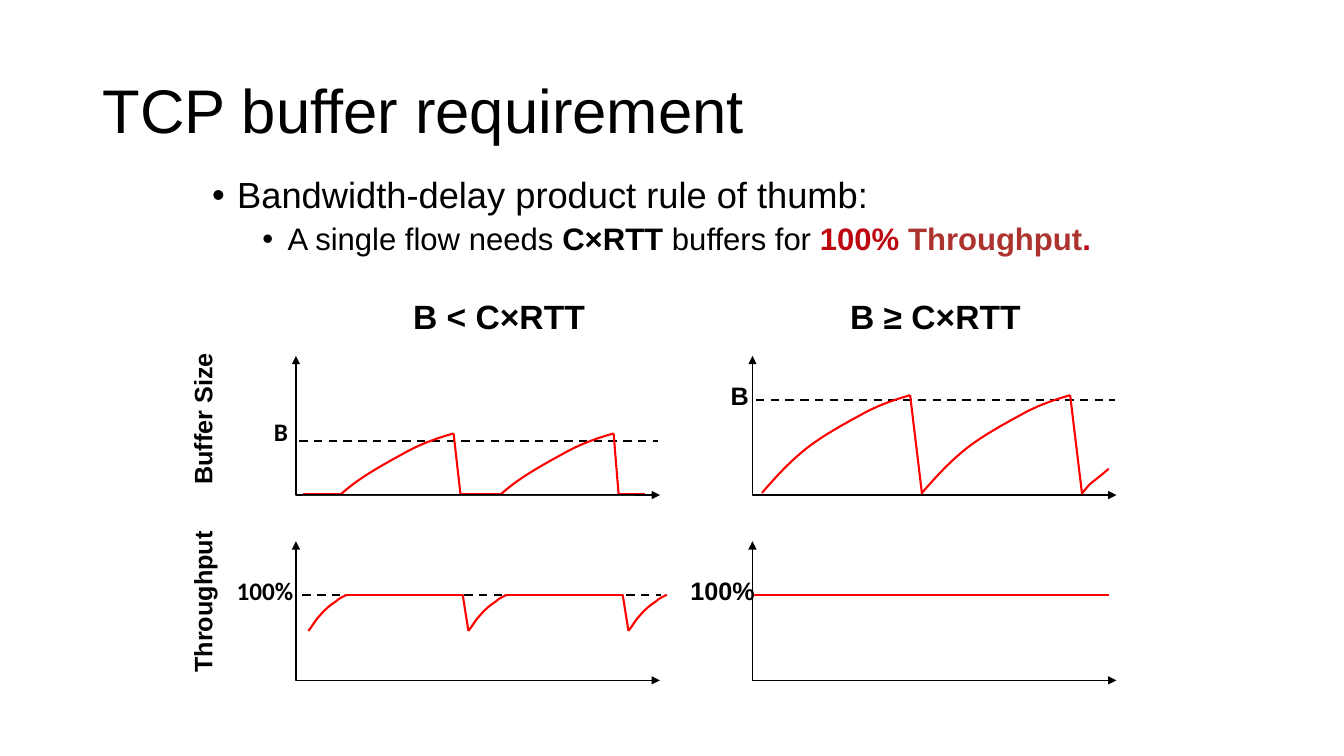
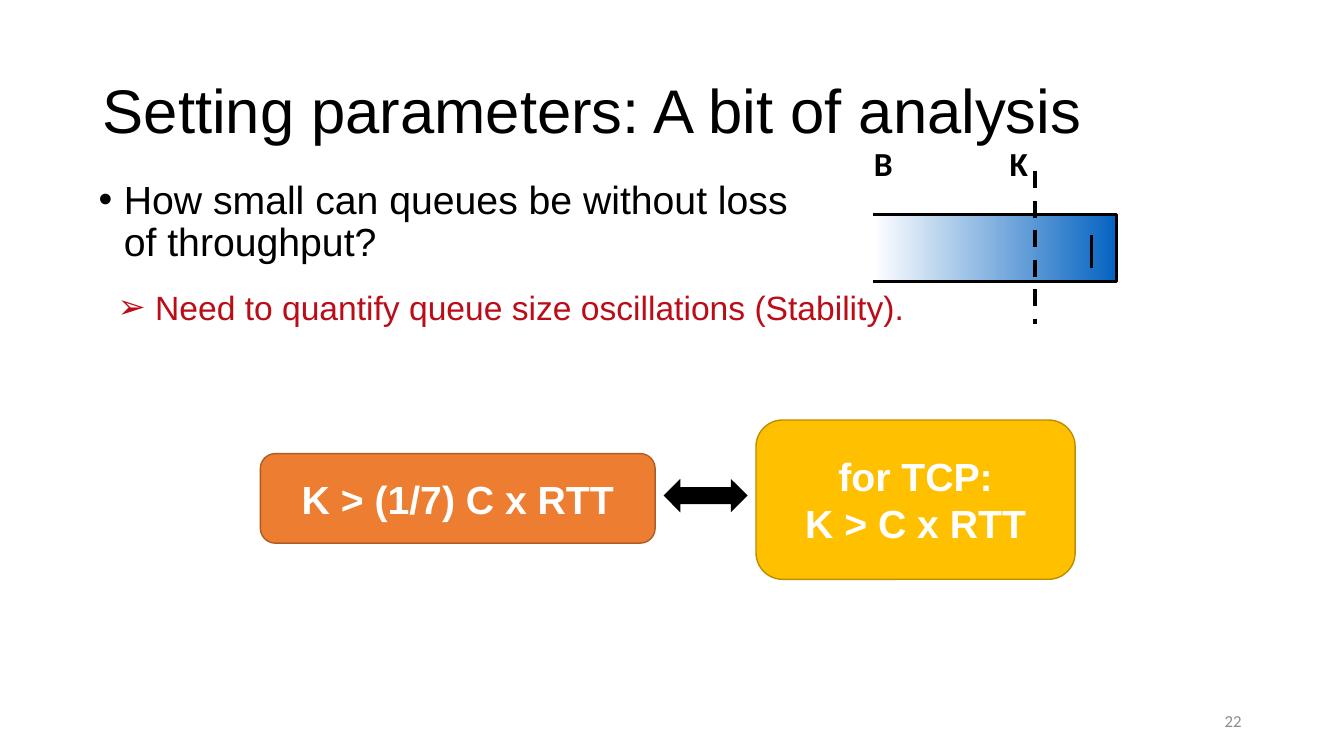
from lxml import etree
from pptx import Presentation
from pptx.dml.color import RGBColor
from pptx.enum.dml import MSO_LINE
from pptx.enum.shapes import MSO_CONNECTOR, MSO_SHAPE
from pptx.enum.text import MSO_ANCHOR, MSO_AUTO_SIZE, PP_ALIGN
from pptx.oxml.ns import qn
from pptx.util import Pt

LEFT, CENTER, RIGHT = PP_ALIGN.LEFT, PP_ALIGN.CENTER, PP_ALIGN.RIGHT
TOP, MIDDLE = MSO_ANCHOR.TOP, MSO_ANCHOR.MIDDLE
NO_AUTOFIT = MSO_AUTO_SIZE.NONE
DASH = MSO_LINE.DASH
STRAIGHT = MSO_CONNECTOR.STRAIGHT
RECTANGLE = MSO_SHAPE.RECTANGLE
ROUNDED = MSO_SHAPE.ROUNDED_RECTANGLE
DOUBLE_ARROW = MSO_SHAPE.LEFT_RIGHT_ARROW
TITLE_ONLY = 5

BLACK, WHITE, RED, GRAY = "000000", "FFFFFF", "FF0000", "8C8C8C"
CRIMSON, BRICK, DEEP_RED = "BD0811", "AD332F", "BB0D18"
ORANGE, ORANGE_EDGE = "ED7D31", "AF5C24"
GOLD, GOLD_EDGE, BLUE = "FFC000", "BD8E00", "0563C1"

BUFFER_RISE = [
    (0, 0), (10, -11.5), (19.5, -22), (31.7, -31.7), (44.5, -41.8),
    (62, -51), (74, -57.6), (86.4, -64), (96.5, -67), (105.8, -69.8),
]
THROUGHPUT_RISE = [
    (0, 0), (2.9, -3.6), (5, -7.9), (8.6, -11.5), (11.5, -15.1),
    (15.8, -18.7), (19.4, -20.9), (22.3, -23.8), (25.2, -24.5), (27.4, -25.9),
]
LAST_RISE = [(0, 0), (9.4, -11.5), (3.6, -4.3), (19.4, -18)]
PERIOD = 114.3
AXIS_WIDTH, AXIS_HEIGHT = 260, 99.4
LEFT_AXIS, RIGHT_AXIS = 211.4, 537.5
BUFFER_TOP, THROUGHPUT_TOP = 254.2, 386.6
BUFFER_FLOOR, FULL_RATE, LOW_RATE = 352.8, 424.8, 450.7


def color(value):
    """Return the colour for a hex string."""
    return RGBColor.from_string(value)


class Deck:
    """Holds the shared style and the slide being drawn."""

    def __init__(self):
        """Start a wide presentation."""
        self.presentation = Presentation()
        self.presentation.slide_width = Pt(960)
        self.presentation.slide_height = Pt(540)
        self.slide = None

    def add_slide(self, title):
        """Add a slide with a title."""
        layout = self.presentation.slide_layouts[TITLE_ONLY]
        self.slide = self.presentation.slides.add_slide(layout)
        shape = self.slide.shapes.title
        shape.left, shape.top, shape.width, shape.height = map(Pt, (66.2, 28.8, 828, 104.4))
        frame = shape.text_frame
        frame.auto_size = NO_AUTOFIT
        frame.vertical_anchor = MIDDLE
        paragraph = frame.paragraphs[0]
        paragraph.alignment = LEFT
        paragraph.line_spacing = 0.9
        self.run(paragraph, title, 44)

    def run(self, paragraph, text, size, ink=BLACK, bold=False, font="Arial"):
        """Add one formatted run."""
        run = paragraph.add_run()
        run.text = text
        run.font.name = font
        run.font.size = Pt(size)
        run.font.bold = bold
        run.font.color.rgb = color(ink)

    def text_box(self, left, top, width, height, wrap=True):
        """Add a text box and return its text frame."""
        box = self.slide.shapes.add_textbox(Pt(left), Pt(top), Pt(width), Pt(height))
        box.text_frame.word_wrap = wrap
        return box.text_frame

    def label(self, text, left, top, width, height, size=18, ink=BLACK, bold=True,
              font="Arial", align=LEFT, anchor=TOP):
        """Add a one-line label."""
        frame = self.text_box(left, top, width, height, wrap=False)
        frame.vertical_anchor = anchor
        paragraph = frame.paragraphs[0]
        paragraph.alignment = align
        self.run(paragraph, text, size, ink, bold, font)

    def vertical_label(self, text, left, top, width, height):
        """Add a label that reads upwards."""
        self.label(text, left, top, width, height, align=RIGHT)
        self.slide.shapes[-1].rotation = 270

    def bullet(self, paragraph, mark="•", margin=18, hang=18, spacing=0.9):
        """Give a paragraph a bullet with a hanging indent."""
        properties = paragraph._p.get_or_add_pPr()
        properties.set("marL", str(Pt(margin)))
        properties.set("indent", str(-Pt(hang)))
        etree.SubElement(properties, qn("a:buFont")).set("typeface", "Arial")
        etree.SubElement(properties, qn("a:buChar")).set("char", mark)
        paragraph.line_spacing = spacing

    def stroke(self, line, ink, width, dash=None):
        """Format an outline."""
        line.color.rgb = color(ink)
        line.width = Pt(width)
        if dash:
            line.dash_style = dash

    def line(self, x1, y1, x2, y2, ink=BLACK, width=1.5, dash=None):
        """Add a straight line."""
        connector = self.slide.shapes.add_connector(STRAIGHT, Pt(x1), Pt(y1), Pt(x2), Pt(y2))
        self.stroke(connector.line, ink, width, dash)
        etree.SubElement(connector._element.spPr, qn("a:effectLst"))

    def outline(self, points, ink=BLACK, width=1.0):
        """Add an open, unfilled outline."""
        first, *rest = [(Pt(x), Pt(y)) for x, y in points]
        builder = self.slide.shapes.build_freeform(*first)
        builder.add_line_segments(rest, close=False)
        shape = builder.convert_to_shape()
        shape.shadow.inherit = False
        shape.fill.background()
        self.stroke(shape.line, ink, width)
        return shape

    def curve(self, controls, left, base):
        """Add a red curve through cubic control points."""
        shape = self.outline([(left + x, base + y) for x, y in controls], RED, 1.5)
        segments = list(shape._element.iter(qn("a:lnTo")))
        for index in range(0, len(segments), 3):
            cubic = etree.Element(qn("a:cubicBezTo"))
            segments[index].addprevious(cubic)
            for segment in segments[index:index + 3]:
                cubic.append(segment[0])
                segment.getparent().remove(segment)

    def axes(self, left, top):
        """Add a pair of axes with arrowheads."""
        bottom = top + AXIS_HEIGHT
        shape = self.outline([(left, top), (left, bottom), (left + AXIS_WIDTH, bottom)])
        line = shape._element.spPr.find(qn("a:ln"))
        for end in ("a:headEnd", "a:tailEnd"):
            etree.SubElement(line, qn(end)).set("type", "triangle")

    def shape(self, kind, left, top, width, height, fill, edge=None, lines=()):
        """Add a filled preset shape with centred lines of text."""
        shape = self.slide.shapes.add_shape(kind, Pt(left), Pt(top), Pt(width), Pt(height))
        shape.shadow.inherit = False
        shape.fill.solid()
        shape.fill.fore_color.rgb = color(fill)
        if edge:
            self.stroke(shape.line, edge, 1)
        else:
            shape.line.fill.background()
        frame = shape.text_frame
        frame.vertical_anchor = MIDDLE
        for index, text in enumerate(lines):
            paragraph = frame.add_paragraph() if index else frame.paragraphs[0]
            paragraph.alignment = CENTER
            self.run(paragraph, text, 28, WHITE, True)


def small_buffer_charts(deck):
    """Draw buffer size and throughput for a buffer that is too small."""
    for left, level in ((213.8, 315.2), (216, FULL_RATE)):
        deck.line(left, level, left + 256.3, level, dash=DASH)
    for index, (run_out, bottom) in enumerate(((7.9, 379.4), (3.6, 353.5))):
        shift = index * PERIOD
        deck.curve(BUFFER_RISE, 218.2 + shift, 379.4)
        deck.line(324 + shift, 309.6, 324 + shift + run_out, bottom, RED)
    for start, end in ((216.7, 244.8), (329, 357.1), (442.1, 460.8)):
        deck.line(start, BUFFER_FLOOR, end, BUFFER_FLOOR, RED)
    deck.axes(LEFT_AXIS, BUFFER_TOP)
    deck.shape(RECTANGLE, 216, 354.2, 237.6, 35.3, WHITE)
    deck.axes(LEFT_AXIS, THROUGHPUT_TOP)
    for index in range(3):
        left = 220.3 + index * PERIOD
        deck.curve(THROUGHPUT_RISE, left, LOW_RATE)
        if index < 2:
            deck.line(left + 27.4, FULL_RATE, left + 110.2, FULL_RATE, RED)
            deck.line(left + 110.2, FULL_RATE, left + PERIOD, LOW_RATE, RED)


def large_buffer_charts(deck):
    """Draw buffer size and throughput for a sufficient buffer."""
    deck.line(540, 285.8, 796.3, 285.8, dash=DASH)
    for index in range(2):
        left = 544.3 + index * PERIOD
        deck.curve(BUFFER_RISE, left, 352.1)
        deck.line(left + 105.8, 282.2, left + PERIOD, BUFFER_FLOOR, RED)
    for top in (BUFFER_TOP, THROUGHPUT_TOP):
        deck.axes(RIGHT_AXIS, top)
    deck.line(537.8, FULL_RATE, 792, FULL_RATE, RED)
    deck.curve(LAST_RISE, 772.6, BUFFER_FLOOR)


def buffer_requirement(deck):
    """Draw the slide on buffer size and throughput."""
    deck.add_slide("TCP buffer requirement")
    frame = deck.text_box(144.4, 123.1, 648, 78)
    rule = frame.paragraphs[0]
    deck.bullet(rule)
    deck.run(rule, "Bandwidth-delay product rule of thumb:", 25.9)
    detail = frame.add_paragraph()
    deck.bullet(detail, margin=54)
    detail.space_before = Pt(5)
    for text, ink, bold in (
        ("A single flow needs ", BLACK, False),
        ("C×RTT ", BLACK, True),
        ("buffers for ", BLACK, False),
        ("100% ", CRIMSON, True),
        ("Throughput", BRICK, True),
        (".", CRIMSON, True),
    ):
        deck.run(detail, text, 22.2, ink, bold)

    deck.vertical_label("Buffer Size", 90, 285.4, 109.4, 29)
    deck.vertical_label("Throughput", 82.8, 419.8, 123.8, 29)
    large_buffer_charts(deck)
    small_buffer_charts(deck)
    deck.label("B < C×RTT", 288, 208.1, 138, 36, size=24)
    deck.label("B ≥ C×RTT", 600.2, 208.1, 138, 36, size=24)
    deck.label("B", 188.6, 293.8, 24.5, 29, font="Calibri")
    deck.label("B", 514.8, 267.8, 27.4, 29)
    deck.label("100%", 162, 407.5, 55.4, 29, font="Calibri")
    deck.label("100%", 486, 407.5, 61.2, 29)


def parameter_analysis(deck):
    """Draw the slide on choosing the threshold."""
    deck.add_slide("Setting parameters: A bit of analysis")
    question = deck.text_box(63.4, 125.3, 527, 131.8).paragraphs[0]
    deck.bullet(question)
    deck.run(question, "How small can queues be without loss of throughput?", 28)
    answer = deck.text_box(77, 201.6, 607, 36).paragraphs[0]
    deck.bullet(answer, "➢", 26.8, 26.8, 1)
    deck.run(answer, "Need to quantify queue size oscillations (Stability).", 24, DEEP_RED)

    for text, left in (("B", 617.2), ("K", 714.2)):
        deck.label(text, left, 98.8, 28.8, 36, size=24, font="Calibri")
    corners = [(623.5, 153.3), (797.3, 153.3), (797.3, 201.3), (623.5, 201.3)]
    queue = deck.outline(corners, BLACK, 2.25)
    queue.fill.gradient()
    queue.fill.gradient_angle = 0
    for stop, ink in zip(queue.fill.gradient_stops, (WHITE, BLUE)):
        stop.color.rgb = color(ink)
    deck.line(779.6, 167.8, 779.6, 191.5, width=2.25)
    deck.line(739.4, 122.4, 739.4, 231.1, width=3, dash=DASH)

    deck.shape(ROUNDED, 186, 324, 282, 64, ORANGE, ORANGE_EDGE, ["K > (1/7) C x RTT"])
    deck.shape(ROUNDED, 540, 300, 228, 113.8, GOLD, GOLD_EDGE, ["for TCP:", "K > C x RTT"])
    deck.shape(DOUBLE_ARROW, 474, 342, 60, 24, BLACK)
    deck.label("22", 678, 500.4, 216, 28.8, 12, GRAY, False, "Calibri", RIGHT, MIDDLE)


def main():
    """Build and save the presentation."""
    deck = Deck()
    buffer_requirement(deck)
    parameter_analysis(deck)
    deck.presentation.save("out.pptx")


if __name__ == "__main__":
    main()
